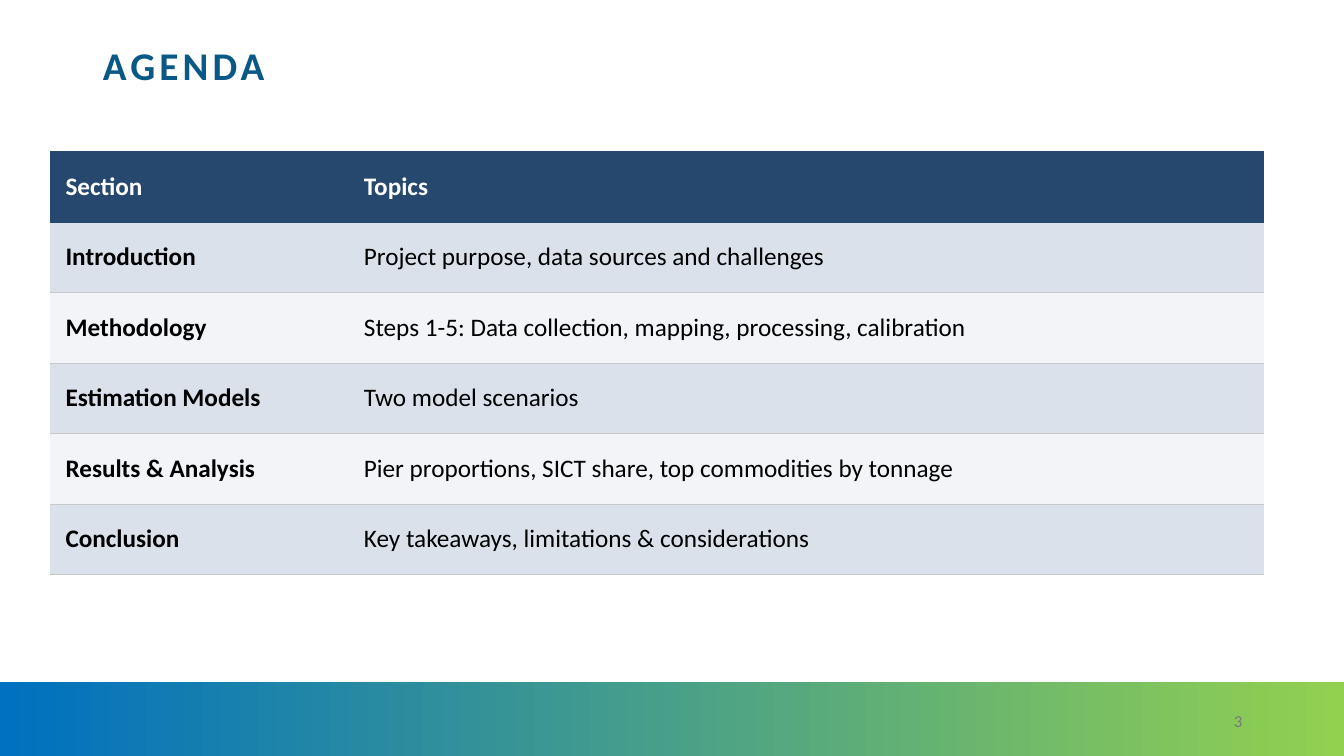
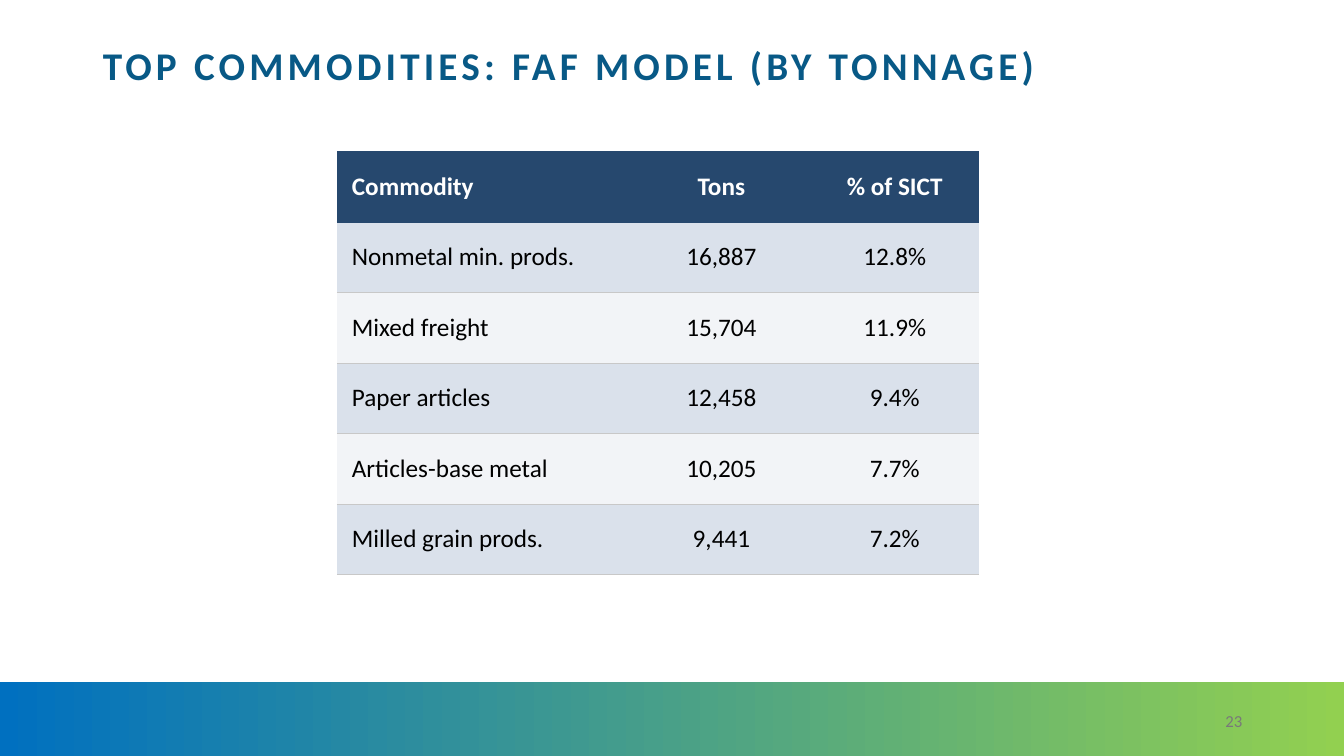
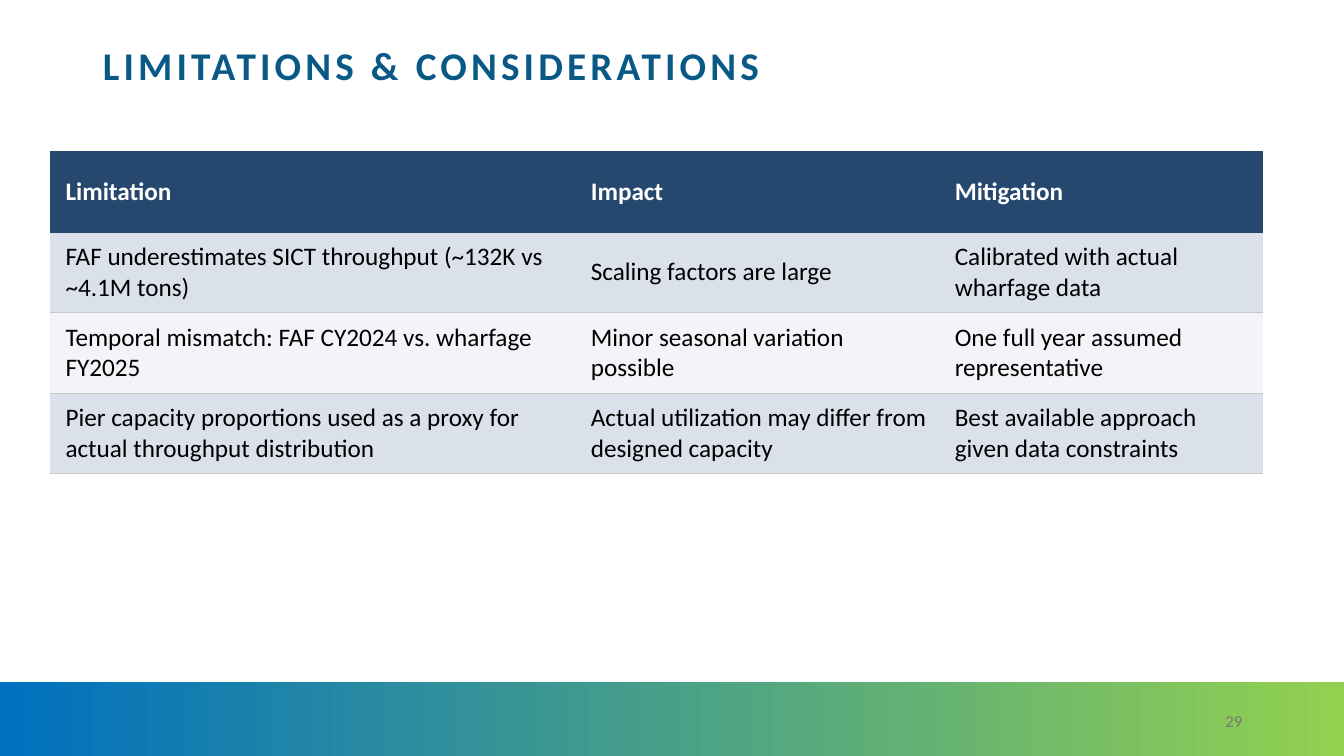
from lxml.etree import SubElement
from pptx import Presentation
from pptx.dml.color import RGBColor
from pptx.enum.shapes import MSO_SHAPE
from pptx.enum.text import MSO_ANCHOR, MSO_AUTO_SIZE, PP_ALIGN
from pptx.oxml.ns import qn
from pptx.util import Inches, Pt

BAND_BLUE = RGBColor(0x00, 0x70, 0xC0)
BAND_GREEN = RGBColor(0x92, 0xD0, 0x50)
TITLE_BLUE = RGBColor(0x08, 0x59, 0x86)
HEADER_NAVY = RGBColor(0x26, 0x48, 0x6E)
ROW_BLUE = RGBColor(0xDA, 0xE1, 0xEB)
ROW_PALE = RGBColor(0xF2, 0xF4, 0xF7)
RULE_GRAY = RGBColor(0xC8, 0xC8, 0xC8)
NUMBER_GRAY = RGBColor(0x79, 0x79, 0x79)
WHITE = RGBColor(0xFF, 0xFF, 0xFF)
BLACK = RGBColor(0x00, 0x00, 0x00)
PLAIN_TABLE_STYLE = "{2D5ABB26-0587-4C30-8999-92F81FD0307C}"


class Deck:
    font_name = "Calibri"
    table_top = 1.5

    def __init__(self):
        self.presentation = Presentation()
        self.presentation.slide_width = Inches(13.33)
        self.presentation.slide_height = Inches(7.5)
        self.slide = None

    def add_slide(self, title, number):
        layout = self.presentation.slide_layouts[5]
        self.slide = self.presentation.slides.add_slide(layout)
        self.add_band()
        self.set_title(title)
        self.add_number(number)

    def style_text(self, frame, size, color, bold=False, align=PP_ALIGN.LEFT):
        paragraph = frame.paragraphs[0]
        paragraph.alignment = align
        font = paragraph.runs[0].font
        font.name = self.font_name
        font.size = Pt(size)
        font.bold = bold
        font.color.rgb = color

    def add_band(self):
        band = self.slide.shapes.add_shape(
            MSO_SHAPE.RECTANGLE, 0, Inches(6.77), Inches(13.33), Inches(0.76))
        band.shadow.inherit = False
        band.line.fill.background()
        band.fill.gradient()
        band.fill.gradient_angle = 0
        for stop, color in zip(band.fill.gradient_stops, (BAND_BLUE, BAND_GREEN)):
            stop.color.rgb = color

    def set_title(self, text):
        title = self.slide.shapes.title
        title.left, title.top = Inches(0.92), Inches(0.4)
        title.width, title.height = Inches(11.5), Inches(0.54)
        frame = title.text_frame
        frame.text = text
        frame.word_wrap = True
        frame.auto_size = MSO_AUTO_SIZE.NONE
        frame.vertical_anchor = MSO_ANCHOR.MIDDLE
        self.style_text(frame, 28, TITLE_BLUE, bold=True)
        frame.paragraphs[0].line_spacing = 0.9
        frame.paragraphs[0].runs[0].font._element.set("spc", "300")

    def add_number(self, number):
        box = self.slide.shapes.add_textbox(
            Inches(9.42), Inches(6.95), Inches(3), Inches(0.4))
        frame = box.text_frame
        frame.text = str(number)
        frame.word_wrap = True
        frame.vertical_anchor = MSO_ANCHOR.MIDDLE
        self.style_text(frame, 12, NUMBER_GRAY, align=PP_ALIGN.RIGHT)

    def add_rule(self, cell, color, width):
        rule = SubElement(cell._tc.get_or_add_tcPr(), qn("a:lnB"), w=str(Pt(width)))
        fill = SubElement(rule, qn("a:solidFill"))
        SubElement(fill, qn("a:srgbClr"), val=str(color))

    def fill_cell(self, cell, text, background, color, bold, align, rule):
        cell.text_frame.text = text
        cell.vertical_anchor = MSO_ANCHOR.MIDDLE
        cell.margin_left, cell.margin_right = Inches(0.15), Inches(0.1)
        cell.margin_top = cell.margin_bottom = Inches(0.06)
        self.style_text(cell.text_frame, 18, color, bold, align)
        self.add_rule(cell, *rule)
        cell.fill.solid()
        cell.fill.fore_color.rgb = background

    def add_table(self, rows, left, widths, row_height,
                  bold_first=False, centered=False):
        table = self.slide.shapes.add_table(
            len(rows), len(widths), Inches(left), Inches(self.table_top),
            Inches(sum(widths)), Inches(row_height * len(rows))).table
        table._tbl.tblPr.find(qn("a:tableStyleId")).text = PLAIN_TABLE_STYLE
        for column, width in zip(table.columns, widths):
            column.width = Inches(width)
        for r, row in enumerate(rows):
            table.rows[r].height = Inches(row_height)
            header = r == 0
            if header:
                background, color, rule = HEADER_NAVY, WHITE, (HEADER_NAVY, 1.5)
            else:
                background = ROW_BLUE if r % 2 else ROW_PALE
                color = BLACK
                rule = (RULE_GRAY, 0.75 if r == len(rows) - 1 else 0.5)
            for c, text in enumerate(row):
                bold = header or (bold_first and c == 0)
                align = PP_ALIGN.CENTER if centered and c else PP_ALIGN.LEFT
                self.fill_cell(table.cell(r, c), text, background, color,
                               bold, align, rule)


AGENDA = [
    ("Section", "Topics"),
    ("Introduction", "Project purpose, data sources and challenges"),
    ("Methodology", "Steps 1-5: Data collection, mapping, processing, calibration"),
    ("Estimation Models", "Two model scenarios"),
    ("Results & Analysis", "Pier proportions, SICT share, top commodities by tonnage"),
    ("Conclusion", "Key takeaways, limitations & considerations"),
]
COMMODITIES = [
    ("Commodity", "Tons", "% of SICT"),
    ("Nonmetal min. prods.", "16,887", "12.8%"),
    ("Mixed freight", "15,704", "11.9%"),
    ("Paper articles", "12,458", "9.4%"),
    ("Articles-base metal", "10,205", "7.7%"),
    ("Milled grain prods.", "9,441", "7.2%"),
]
LIMITATIONS = [
    ("Limitation", "Impact", "Mitigation"),
    ("FAF underestimates SICT throughput (~132K vs ~4.1M tons)",
     "Scaling factors are large", "Calibrated with actual wharfage data"),
    ("Temporal mismatch: FAF CY2024 vs. wharfage FY2025",
     "Minor seasonal variation possible", "One full year assumed representative"),
    ("Pier capacity proportions used as a proxy for actual throughput distribution",
     "Actual utilization may differ from designed capacity",
     "Best available approach given data constraints"),
]


def main():
    deck = Deck()
    deck.add_slide("AGENDA", 3)
    deck.add_table(AGENDA, 0.5, (2.96, 9.08), 0.7, bold_first=True)
    deck.add_slide("TOP COMMODITIES: FAF MODEL (BY TONNAGE)", 23)
    deck.add_table(COMMODITIES, 3.34, (2.93, 1.72, 1.72), 0.7, centered=True)
    deck.add_slide("LIMITATIONS & CONSIDERATIONS", 29)
    deck.add_table(LIMITATIONS, 0.5, (5.21, 3.61, 3.21), 0.8)
    deck.presentation.save("out.pptx")


if __name__ == "__main__":
    main()
